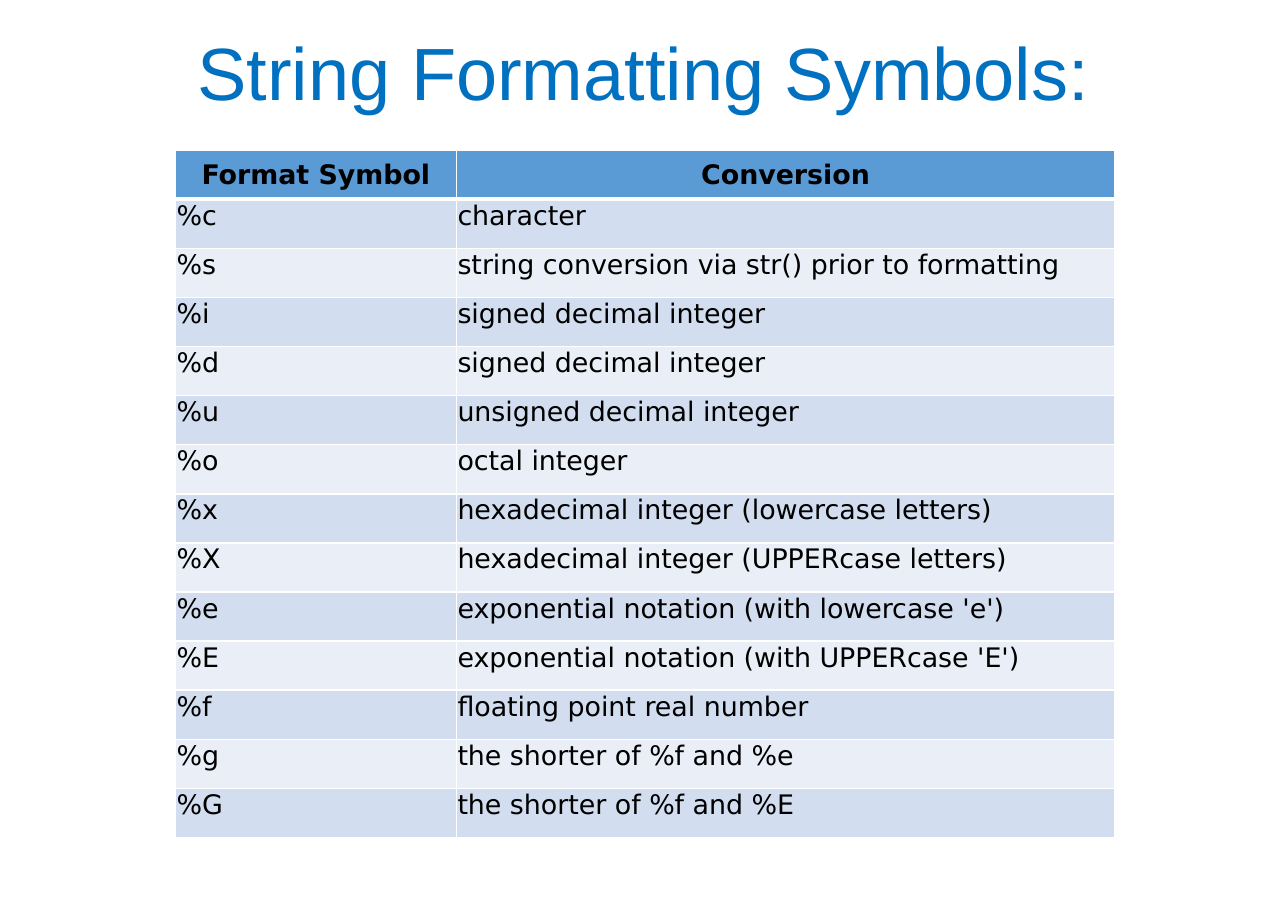
from pptx import Presentation
from pptx.dml.color import RGBColor
from pptx.enum.text import MSO_ANCHOR, PP_ALIGN
from pptx.oxml.ns import qn
from pptx.util import Inches, Pt
from lxml import etree

CENTER, LEFT = PP_ALIGN.CENTER, PP_ALIGN.LEFT
TOP, MIDDLE = MSO_ANCHOR.TOP, MSO_ANCHOR.MIDDLE

TITLE_BLUE = RGBColor(0x00, 0x70, 0xC0)
HEADER_BLUE = RGBColor(0x5B, 0x9B, 0xD5)
BAND_DARK = RGBColor(0xD2, 0xDE, 0xEF)
BAND_LIGHT = RGBColor(0xEA, 0xEF, 0xF7)
BLACK = RGBColor(0x00, 0x00, 0x00)
WHITE = RGBColor(0xFF, 0xFF, 0xFF)

HEADINGS = ("Format Symbol", "Conversion")
SYMBOLS = [
    ("%c", "character"),
    ("%s", "string conversion via str() prior to formatting"),
    ("%i", "signed decimal integer"),
    ("%d", "signed decimal integer"),
    ("%u", "unsigned decimal integer"),
    ("%o", "octal integer"),
    ("%x", "hexadecimal integer (lowercase letters)"),
    ("%X", "hexadecimal integer (UPPERcase letters)"),
    ("%e", "exponential notation (with lowercase 'e')"),
    ("%E", "exponential notation (with UPPERcase 'E')"),
    ("%f", "floating point real number"),
    ("%g", "the shorter of %f and %e"),
    ("%G", "the shorter of %f and %E"),
]


def write(tf, text, font="DejaVu Sans", size=16, color=BLACK, bold=False,
          align=LEFT, spacing=1.0):
    p = tf.paragraphs[0]
    p.alignment = align
    p.line_spacing = spacing
    r = p.add_run()
    r.text = text
    r.font.name = font
    r.font.size = Pt(size)
    r.font.bold = bold
    r.font.color.rgb = color


def set_borders(cell, bottom=1):
    """Draw white lines of 1 pt round a cell; bottom is in points."""
    tcPr = cell._tc.get_or_add_tcPr()
    sides = (("a:lnL", 1), ("a:lnR", 1), ("a:lnT", 1), ("a:lnB", bottom))
    for i, (tag, width) in enumerate(sides):
        ln = etree.Element(qn(tag), w=str(Pt(width)))
        fill = etree.SubElement(ln, qn("a:solidFill"))
        etree.SubElement(fill, qn("a:srgbClr"), val=str(WHITE))
        tcPr.insert(i, ln)


class Deck:
    def __init__(self, width, height):
        self.prs = Presentation()
        self.prs.slide_width = Inches(width)
        self.prs.slide_height = Inches(height)
        self.s = self.prs.slides.add_slide(self.prs.slide_layouts[6])

    def title(self, text, left, top, width, height):
        box = self.s.shapes.add_textbox(Inches(left), Inches(top),
                                        Inches(width), Inches(height))
        tf = box.text_frame
        tf.word_wrap = True
        tf.vertical_anchor = MIDDLE
        write(tf, text, font="Arial", size=44, color=TITLE_BLUE,
              align=CENTER, spacing=0.9)

    def cell(self, cell, text, fill, header=False):
        cell.margin_left = cell.margin_right = cell.margin_top = Inches(0.01)
        cell.margin_bottom = 0
        cell.vertical_anchor = MIDDLE if header else TOP
        cell.fill.solid()
        cell.fill.fore_color.rgb = fill
        set_borders(cell, bottom=3 if header else 1)
        write(cell.text_frame, text, bold=header,
              align=CENTER if header else LEFT)

    def table(self, headings, rows, left, top, col_widths, height):
        table = self.s.shapes.add_table(
            len(rows) + 1, len(headings), Inches(left), Inches(top),
            Inches(sum(col_widths)), Inches(height)).table
        for col, width in zip(table.columns, col_widths):
            col.width = Inches(width)
        for i, row in enumerate([headings, *rows]):
            band = BAND_DARK if i % 2 else BAND_LIGHT
            for j, text in enumerate(row):
                self.cell(table.cell(i, j), text,
                          band if i else HEADER_BLUE, header=i == 0)


def main():
    deck = Deck(10.64, 7.5)
    deck.title("String Formatting Symbols:", 0, 0, 10.64, 1.27)
    deck.table(HEADINGS, SYMBOLS, 1.45, 1.24, (2.32, 5.44), 5.68)
    deck.prs.save("out.pptx")


if __name__ == "__main__":
    main()
